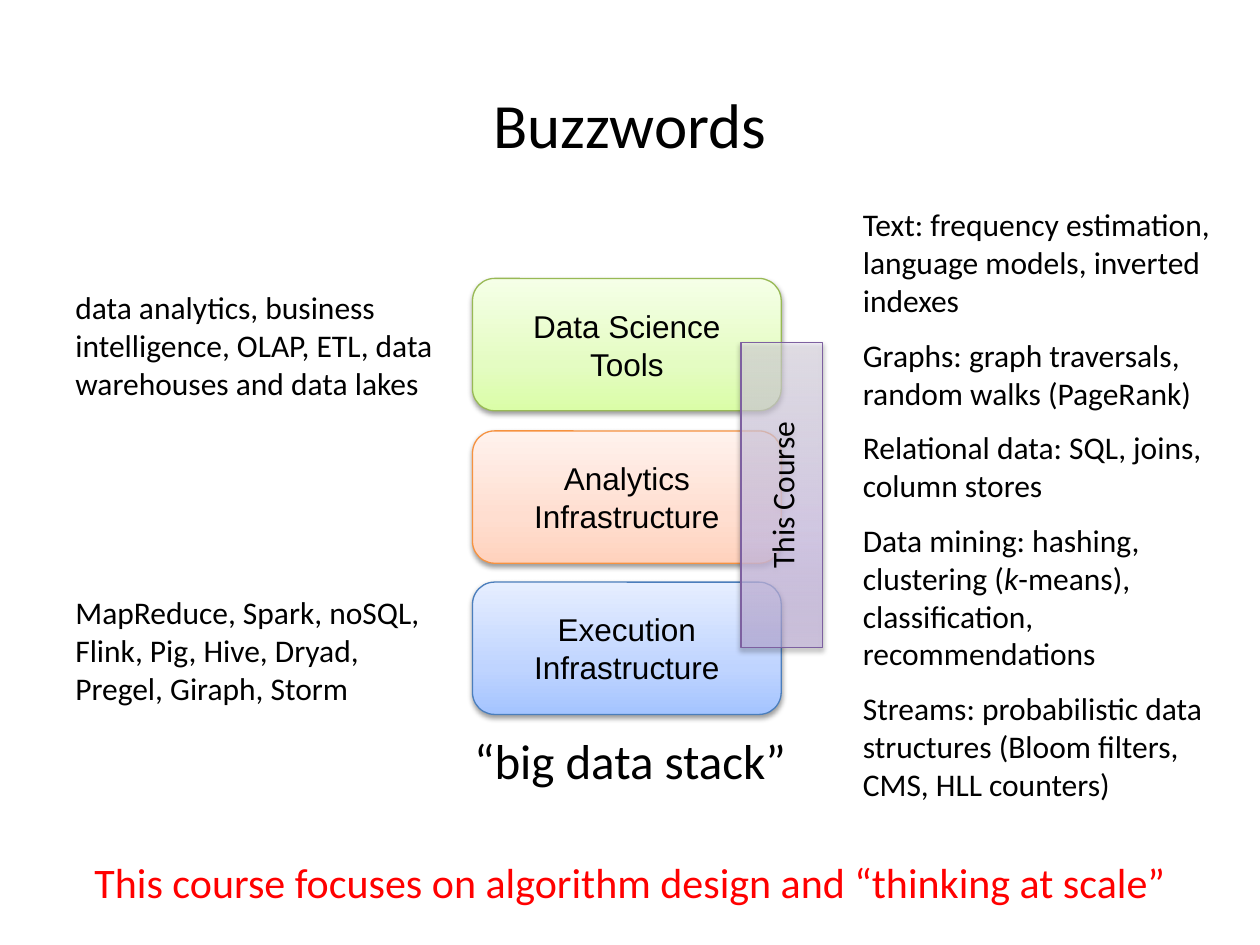
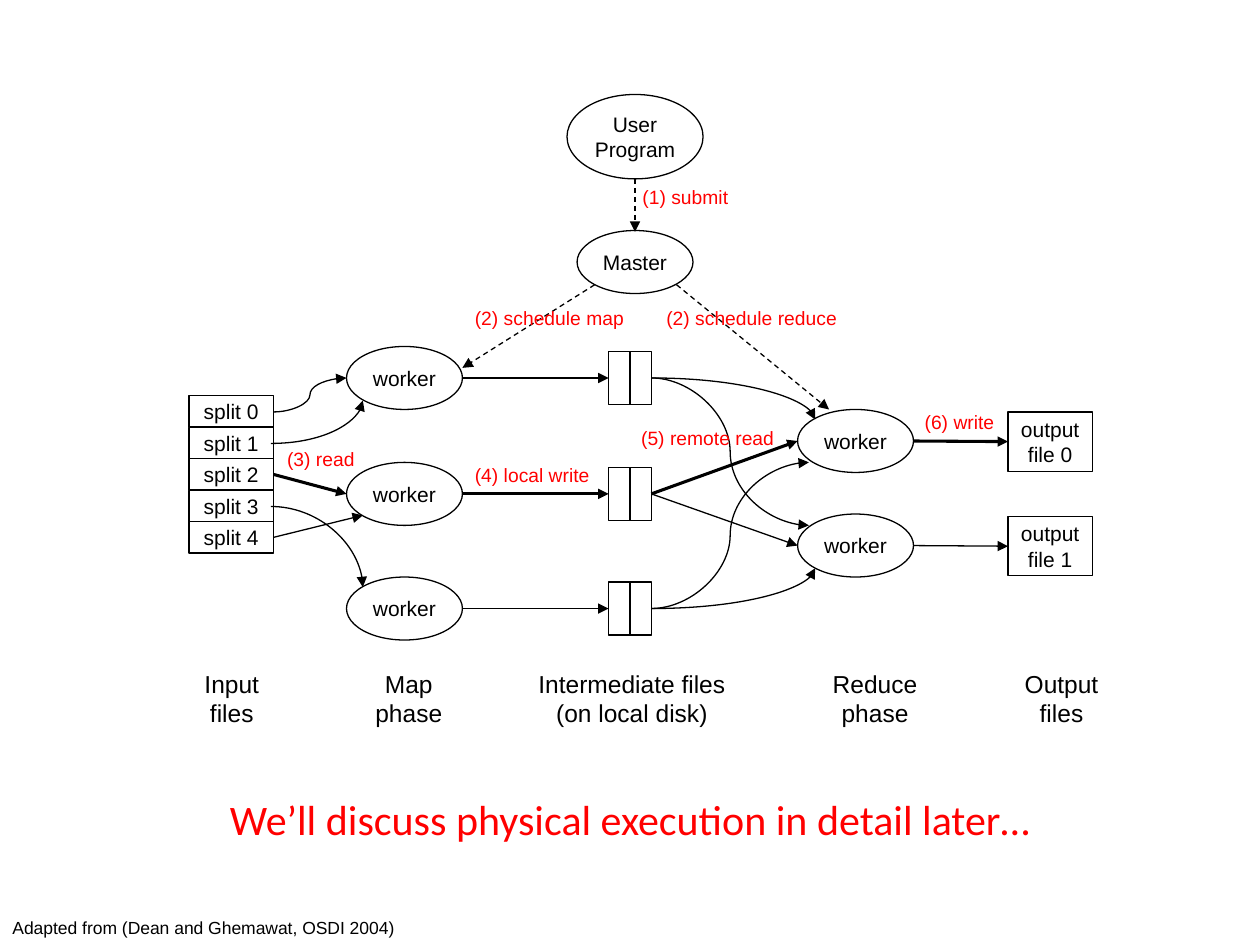
import lxml.etree
import pptx
import pptx.dml.color
import pptx.enum.dml
import pptx.enum.shapes
import pptx.enum.text
import pptx.oxml.ns
import pptx.util

Inches = pptx.util.Inches
Pt = pptx.util.Pt
qn = pptx.oxml.ns.qn
SHAPE = pptx.enum.shapes.MSO_SHAPE
CONNECTOR = pptx.enum.shapes.MSO_CONNECTOR
ALIGN = pptx.enum.text.PP_ALIGN
MIDDLE = pptx.enum.text.MSO_ANCHOR.MIDDLE

COLORS = {
    name: pptx.dml.color.RGBColor.from_string(value)
    for name, value in {
        "ink": "000000", "accent": "FF0000", "green": "98B955",
        "orange": "F69240", "blue": "4B7EBC", "purple": "7D60A0",
    }.items()
}
GRADIENTS = {
    "green": ["DAFDA7", "E4FCC2", "F5FFE7"],
    "orange": ["FFD2BD", "FFDED0", "FFF2ED"],
    "blue": ["A4C4FF", "BFD4FF", "E6EEFF"],
    "purple": ["C9B5E8", "D8CBEE", "F0EAF9"],
}
STOPS = [0, 35000, 100000]


def write(shape, text, size, font="Arial", color="ink", align=ALIGN.CENTER, wrap=False):
    frame = shape.text_frame
    frame.text = text
    frame.word_wrap = wrap
    for para in frame.paragraphs:
        para.alignment = align
        for span in para.runs:
            span.font.size = Pt(size)
            span.font.name = font
            span.font.color.rgb = COLORS[color]
    return frame


def add_arrow(page, kind, start, end, width=0.75, source=None, target=None):
    arrow = page.shapes.add_connector(kind, *map(Inches, start + end))
    if source is not None:
        arrow.begin_connect(source, 3)
    if target is not None:
        arrow.end_connect(target, 1)
    arrow.line.color.rgb = COLORS["ink"]
    arrow.line.width = Pt(width)
    properties = arrow.element.spPr
    tail = lxml.etree.SubElement(properties.find(qn("a:ln")), qn("a:tailEnd"))
    tail.set("type", "triangle")
    lxml.etree.SubElement(properties, qn("a:effectLst"))
    return arrow


deck = pptx.Presentation()
deck.slide_width = Inches(10)
deck.slide_height = Inches(7.5)
stack_page, flow_page = [deck.slides.add_slide(deck.slide_layouts[6]) for _ in range(2)]

for page, text, place, size, color in [
    (stack_page, "Buzzwords", (0, 0.6, 10, 0.75), 36, "ink"),
    (stack_page, "“big data stack”", (0, 5.75, 10, 0.75), 28, "ink"),
    (stack_page, "This course focuses on algorithm design and “thinking at scale”",
     (0, 6.75, 10, 0.5), 24, "accent"),
    (flow_page, "We’ll discuss physical execution in detail later…",
     (0, 6.25, 10, 0.5), 24, "accent"),
]:
    box = page.shapes.add_textbox(*map(Inches, place))
    frame = write(box, text, size, "Calibri", color, wrap=True)
    if size == 36:
        frame.vertical_anchor = MIDDLE

for top, text in [
    (2.24, "data analytics, business intelligence, OLAP, ETL, data warehouses and data lakes"),
    (4.66, "MapReduce, Spark, noSQL, Flink, Pig, Hive, Dryad, Pregel, Giraph, Storm"),
]:
    box = stack_page.shapes.add_textbox(*map(Inches, (0.5, top, 3.17, 1.01)))
    write(box, text, 18, "Calibri", align=ALIGN.LEFT, wrap=True)

topics = [
    "Text: frequency estimation, language models, inverted indexes",
    "Graphs: graph traversals, random walks (PageRank)",
    "Relational data: SQL, joins, column stores",
    "Data mining: hashing, clustering (",
    "Streams: probabilistic data structures (Bloom filters, CMS, HLL counters)",
]
box = stack_page.shapes.add_textbox(*map(Inches, (6.75, 1.58, 3, 4.88)))
frame = write(box, "\n".join(topics), 18, "Calibri", align=ALIGN.LEFT, wrap=True)
for para in frame.paragraphs[1:]:
    para.space_before = Pt(9.75)
for text, italic in [("k", True), ("-means), classification, recommendations", False)]:
    span = frame.paragraphs[3].add_run()
    span.text = text
    span.font.size = Pt(18)
    span.font.name = "Calibri"
    span.font.italic = italic
    span.font.color.rgb = COLORS["ink"]

for text, kind, place, color, font in [
    ("Execution\vInfrastructure", SHAPE.ROUNDED_RECTANGLE, (3.75, 4.62, 2.45, 1.05), "blue", "Arial"),
    ("Analytics Infrastructure", SHAPE.ROUNDED_RECTANGLE, (3.75, 3.42, 2.45, 1.05), "orange", "Arial"),
    ("Data Science\nTools", SHAPE.ROUNDED_RECTANGLE, (3.75, 2.21, 2.45, 1.05), "green", "Arial"),
    ("This Course", SHAPE.RECTANGLE, (5.88, 2.72, 0.65, 2.42), "purple", "Calibri"),
]:
    layer = stack_page.shapes.add_shape(kind, *map(Inches, place))
    write(layer, text, 18, font, wrap=True).vertical_anchor = MIDDLE
    layer.line.color.rgb = COLORS[color]
    layer.line.width = Pt(0.75)
    layer.fill.gradient()
    layer.fill.gradient_angle = 90
    properties = layer.element.spPr
    stop_list = properties.find(qn("a:gradFill")).find(qn("a:gsLst"))
    for stop in list(stop_list):
        stop_list.remove(stop)
    for position, value, opacity in zip(STOPS, GRADIENTS[color], [50000, 80000, 50000]):
        stop = lxml.etree.SubElement(stop_list, qn("a:gs"), pos=str(position))
        tint = lxml.etree.SubElement(stop, qn("a:srgbClr"), val=value)
        if color == "purple":
            lxml.etree.SubElement(tint, qn("a:alpha"), val=str(opacity))
    layer.shadow.inherit = False
    shadow = lxml.etree.SubElement(
        properties.find(qn("a:effectLst")), qn("a:outerShdw"),
        blurRad=str(Pt(3.1)), dist=str(Pt(1.6)), dir="5400000", rotWithShape="0")
    shade = lxml.etree.SubElement(shadow, qn("a:srgbClr"), val="000000")
    lxml.etree.SubElement(shade, qn("a:alpha"), val="38000")
    if color == "purple":
        layer.text_frame._txBody.bodyPr.set("vert", "vert270")

map_rows = [3, 3.92, 4.83]
reduce_rows = [3.5, 4.33]
nodes = [(SHAPE.RECTANGLE, f"split {i}", (1.5, 3.14 + 0.25 * i, 0.67, 0.25)) for i in range(5)]
nodes += [(SHAPE.OVAL, "worker", (2.75, row - 0.25, 0.92, 0.5)) for row in map_rows]
nodes += [(SHAPE.OVAL, "worker", (6.33, row - 0.25, 0.92, 0.5)) for row in reduce_rows]
nodes += [(SHAPE.OVAL, "Master", (4.58, 1.83, 0.92, 0.5)),
          (SHAPE.OVAL, "User\nProgram", (4.5, 0.75, 1.08, 0.67))]
nodes += [(SHAPE.RECTANGLE, f"output\nfile {i}", (8, row - 0.23, 0.67, 0.47))
          for i, row in enumerate(reduce_rows)]
nodes += [(SHAPE.RECTANGLE, "", (left, row - 0.21, 0.17, 0.42))
          for left in (4.83, 5) for row in map_rows]
drawn = []
for kind, text, place in nodes:
    node = flow_page.shapes.add_shape(kind, *map(Inches, place))
    node.shadow.inherit = False
    node.fill.background()
    node.line.color.rgb = COLORS["ink"]
    node.line.width = Pt(0.75)
    if text:
        frame = write(node, text, 12)
        frame.vertical_anchor = MIDDLE
        frame.margin_left = frame.margin_right = 0
        frame.margin_top = frame.margin_bottom = 0
    drawn.append(node)
splits, outputs = drawn[:5], drawn[12:14]
left_cells, right_cells = drawn[14:17], drawn[17:]

for start, end, width, source, target in [
    ((2.17, 3.77), (2.75, 3.92), 1.75, splits[2], None),
    ((2.17, 4.27), (2.88, 4.09), 0.75, splits[4], None),
    ((3.67, 3), (4.83, 3), 0.75, None, left_cells[0]),
    ((3.67, 3.92), (4.83, 3.92), 1.75, None, left_cells[1]),
    ((3.67, 4.83), (4.83, 4.83), 0.75, None, left_cells[2]),
    ((7.25, 3.5), (8, 3.5), 1.75, None, outputs[0]),
    ((7.25, 4.33), (8, 4.33), 0.75, None, outputs[1]),
    ((5.17, 3.92), (6.33, 3.5), 1.75, right_cells[1], None),
    ((5.17, 3.92), (6.33, 4.33), 0.75, right_cells[1], None),
]:
    add_arrow(flow_page, CONNECTOR.STRAIGHT, start, end, width, source, target)

for start, end, preset in [
    ((2.17, 3.27), (2.75, 3), "curvedConnector3"),
    ((2.15, 3.52), (2.88, 3.18), "curvedConnector2"),
    ((2.15, 4.02), (2.88, 4.66), "curvedConnector2"),
    ((5.17, 3), (6.47, 3.33), "curvedConnector2"),
    ((5.17, 3), (6.42, 4.17), "curvedConnector3"),
    ((5.17, 4.83), (6.42, 3.67), "curvedConnector3"),
    ((5.17, 4.83), (6.47, 4.51), "curvedConnector2"),
]:
    curve = add_arrow(flow_page, CONNECTOR.CURVE, start, end)
    curve.element.spPr.find(qn("a:prstGeom")).set("prst", preset)

for start, end in [
    ((5.04, 1.42), (5.04, 1.84)),
    ((4.72, 2.26), (3.67, 2.92)),
    ((5.37, 2.26), (6.58, 3.25)),
]:
    signal = add_arrow(flow_page, CONNECTOR.STRAIGHT, start, end)
    signal.line.dash_style = pptx.enum.dml.MSO_LINE.DASH

for text, left, top, width in [
    ("(1) submit", 5, 1.42, 0.89),
    ("(2) schedule map", 3.67, 2.38, 1.39),
    ("(2) schedule reduce", 5.19, 2.38, 1.56),
    ("(3) read", 2.18, 3.5, 0.74),
    ("(4) local write", 3.67, 3.63, 1.12),
    ("(5) remote read", 4.99, 3.33, 1.26),
    ("(6) write", 7.24, 3.21, 0.76),
]:
    box = flow_page.shapes.add_textbox(*map(Inches, (left, top, width, 0.29)))
    write(box, text, 11, color="accent", align=ALIGN.LEFT)

for text, left, width in [
    ("Input\nfiles", 1.52, 0.64),
    ("Map\nphase", 2.88, 0.73),
    ("Intermediate files\n(on local disk)", 4.17, 1.69),
    ("Reduce\nphase", 6.49, 0.91),
    ("Output\nfiles", 8.03, 0.79),
]:
    box = flow_page.shapes.add_textbox(*map(Inches, (left, 5.26, width, 0.57)))
    write(box, text, 14)

box = flow_page.shapes.add_textbox(*map(Inches, (0, 7.23, 3.42, 0.27)))
write(box, "Adapted from (Dean and Ghemawat, OSDI 2004)", 10, align=ALIGN.LEFT, wrap=True)

deck.save("out.pptx")
